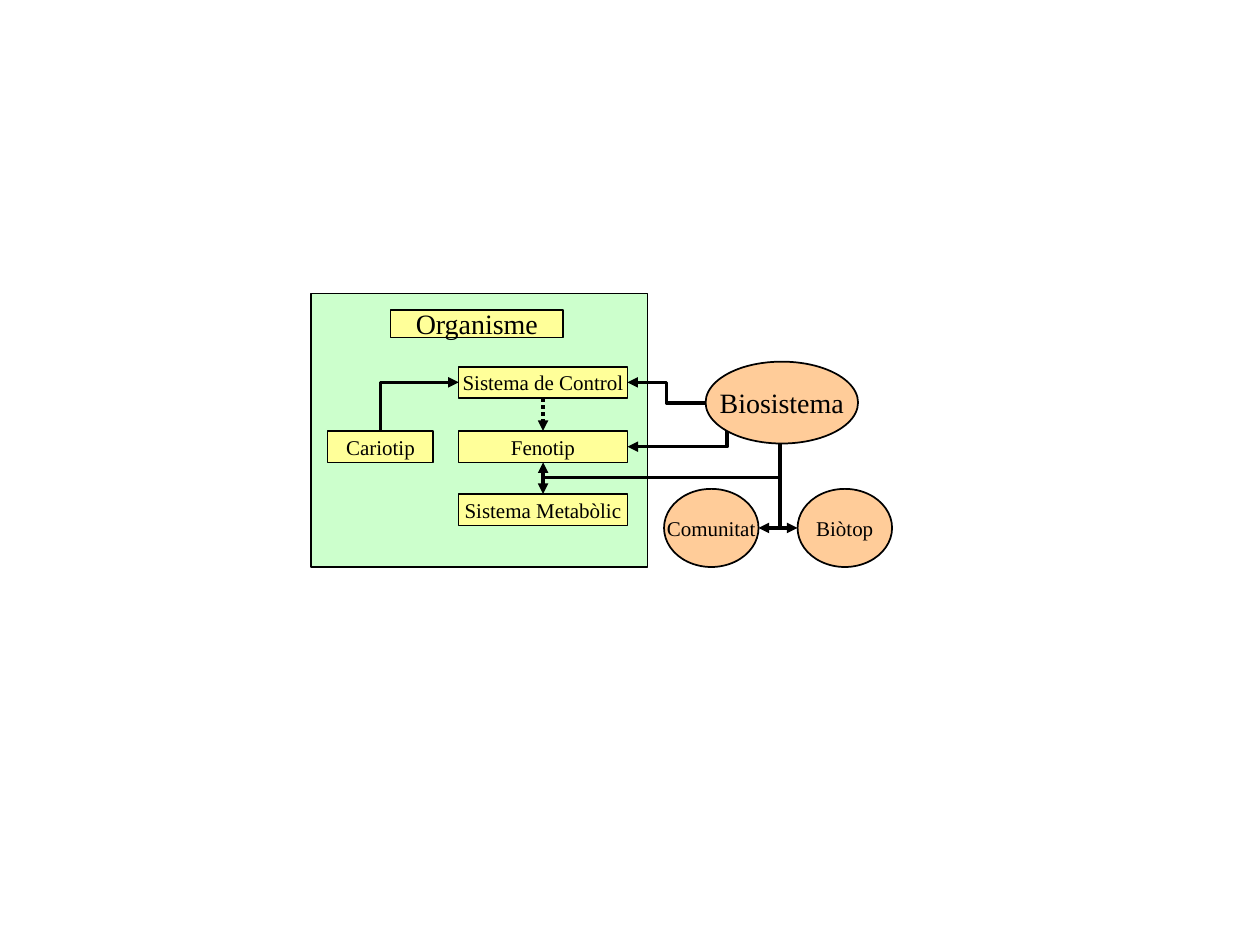
from lxml import etree
from pptx import Presentation
from pptx.dml.color import RGBColor
from pptx.enum.dml import MSO_LINE
from pptx.enum.shapes import MSO_CONNECTOR, MSO_SHAPE
from pptx.enum.text import MSO_ANCHOR, PP_ALIGN
from pptx.oxml.ns import qn
from pptx.util import Inches, Pt

RECTANGLE, OVAL = MSO_SHAPE.RECTANGLE, MSO_SHAPE.OVAL
STRAIGHT, ELBOW = MSO_CONNECTOR.STRAIGHT, MSO_CONNECTOR.ELBOW
DOTTED = MSO_LINE.ROUND_DOT
CENTER, MIDDLE = PP_ALIGN.CENTER, MSO_ANCHOR.MIDDLE

THEME = {
    "font": "Times New Roman",
    "ink": RGBColor(0x00, 0x00, 0x00),
    "organism": RGBColor(0xCC, 0xFF, 0xCC),
    "part": RGBColor(0xFF, 0xFF, 0x99),
    "biosystem": RGBColor(0xFF, 0xCC, 0x99),
    "heading": Pt(16),
    "label": Pt(12),
    "outline": Pt(1),
    "arrow": Pt(2),
}

# Content: text, left, top, width, height, type size
ORGANISM = ("", 2.47, 2.33, 2.67, 2.17, "label")
COLUMN_LEFT, COLUMN_WIDTH, BOX_HEIGHT = 3.64, 1.34, 0.25
CONTROL_TOP, PHENOTYPE_TOP, METABOLIC_TOP = 2.91, 3.42, 3.92
PARTS = [
    ("Organisme", 3.1, 2.46, 1.37, 0.22, "heading"),
    ("Sistema de Control", COLUMN_LEFT, CONTROL_TOP, COLUMN_WIDTH, BOX_HEIGHT, "label"),
    ("Fenotip", COLUMN_LEFT, PHENOTYPE_TOP, COLUMN_WIDTH, BOX_HEIGHT, "label"),
    ("Sistema Metabòlic", COLUMN_LEFT, METABOLIC_TOP, COLUMN_WIDTH, BOX_HEIGHT, "label"),
    ("Cariotip", 2.6, PHENOTYPE_TOP, 0.84, BOX_HEIGHT, "label"),
]
ENVIRONMENT = [
    ("Biòtop", 6.33, 3.88, 0.75, 0.62, "label"),
    ("Comunitat", 5.27, 3.88, 0.75, 0.62, "label"),
]
BIOSYSTEM = ("Biosistema", 5.6, 2.87, 1.21, 0.65, "heading")

# Anchor points of the arrows
COLUMN_CENTER = COLUMN_LEFT + COLUMN_WIDTH / 2
COLUMN_RIGHT = COLUMN_LEFT + COLUMN_WIDTH
CONTROL_MIDDLE = CONTROL_TOP + BOX_HEIGHT / 2
PHENOTYPE_MIDDLE = PHENOTYPE_TOP + BOX_HEIGHT / 2
STEM, BRANCH, ENVIRONMENT_MIDDLE = (6.19, 3.5), 3.79, 4.19

# Arrows that leave vertically: start, end, height of the crossing (None: one corner)
VERTICAL_ARROWS = [
    ((3.02, PHENOTYPE_TOP), (COLUMN_LEFT, CONTROL_MIDDLE), None),
    ((5.77, 3.41), (COLUMN_RIGHT, PHENOTYPE_MIDDLE), None),
    (STEM, (6.33, ENVIRONMENT_MIDDLE), None),
    (STEM, (6.02, ENVIRONMENT_MIDDLE), None),
    (STEM, (COLUMN_CENTER, PHENOTYPE_TOP + BOX_HEIGHT), BRANCH),
    (STEM, (COLUMN_CENTER, METABOLIC_TOP), BRANCH),
]
# (goes right, goes down): rotation in degrees, horizontal flip, vertical flip
TURNS = {
    (False, True): (90, 0, 0),
    (True, True): (270, 1, 0),
    (True, False): (90, 1, 1),
}


def add_node(shapes, kind, fill, node):
    text, left, top, width, height, size = node
    shape = shapes.add_shape(kind, Inches(left), Inches(top), Inches(width), Inches(height))
    shape.shadow.inherit = False
    shape.fill.solid()
    shape.fill.fore_color.rgb = THEME[fill]
    shape.line.color.rgb = THEME["ink"]
    shape.line.width = THEME["outline"]
    if text:
        frame = shape.text_frame
        frame.word_wrap = False
        frame.vertical_anchor = MIDDLE
        paragraph = frame.paragraphs[0]
        paragraph.text = text
        paragraph.alignment = CENTER
        paragraph.font.name = THEME["font"]
        paragraph.font.size = THEME[size]
        paragraph.font.color.rgb = THEME["ink"]


def add_arrow(shapes, kind, start, end, dash=None):
    connector = shapes.add_connector(kind, *(Inches(value) for value in start + end))
    connector.line.color.rgb = THEME["ink"]
    connector.line.width = THEME["arrow"]
    if dash:
        connector.line.dash_style = dash
    properties = connector.element.spPr
    etree.SubElement(properties.find(qn("a:ln")), qn("a:tailEnd"), type="triangle")
    etree.SubElement(properties, qn("a:effectLst"))
    return connector


def add_vertical_arrow(shapes, start, end, crossing):
    connector = add_arrow(shapes, ELBOW, start, end)
    (x1, y1), (x2, y2) = start, end
    # The box is turned a quarter about the midpoint, so its sides swap
    width, height = abs(y2 - y1), abs(x2 - x1)
    connector.left = Inches((x1 + x2 - width) / 2)
    connector.top = Inches((y1 + y2 - height) / 2)
    connector.width, connector.height = Inches(width), Inches(height)
    rotation, flip_h, flip_v = TURNS[x2 > x1, y2 > y1]
    properties = connector.element.spPr
    transform = properties.find(qn("a:xfrm"))
    transform.set("rot", str(rotation * 60000))
    transform.set("flipH", str(flip_h))
    transform.set("flipV", str(flip_v))
    geometry = properties.find(qn("a:prstGeom"))
    if crossing is None:
        geometry.set("prst", "bentConnector2")
    else:
        share = round((crossing - y1) / (y2 - y1) * 100000)
        etree.SubElement(geometry.find(qn("a:avLst")), qn("a:gd"),
                         name="adj1", fmla=f"val {share}")


def main():
    presentation = Presentation()
    presentation.slide_width, presentation.slide_height = Inches(10), Inches(7.5)
    slide = presentation.slides.add_slide(presentation.slide_layouts[6])
    shapes = slide.shapes.add_group_shape().shapes

    # Organism and its parts
    add_node(shapes, RECTANGLE, "organism", ORGANISM)
    for node in PARTS:
        add_node(shapes, RECTANGLE, "part", node)
    for node in ENVIRONMENT:
        add_node(shapes, OVAL, "biosystem", node)

    # Arrows
    for start, end, crossing in VERTICAL_ARROWS:
        add_vertical_arrow(shapes, start, end, crossing)
    add_arrow(shapes, STRAIGHT, (COLUMN_CENTER, CONTROL_TOP + BOX_HEIGHT),
              (COLUMN_CENTER, PHENOTYPE_TOP), DOTTED)
    add_arrow(shapes, ELBOW, (5.6, 3.2), (COLUMN_RIGHT, CONTROL_MIDDLE))

    # Biosystem lies over the arrow starts
    add_node(shapes, OVAL, "biosystem", BIOSYSTEM)
    presentation.save("out.pptx")


if __name__ == "__main__":
    main()
